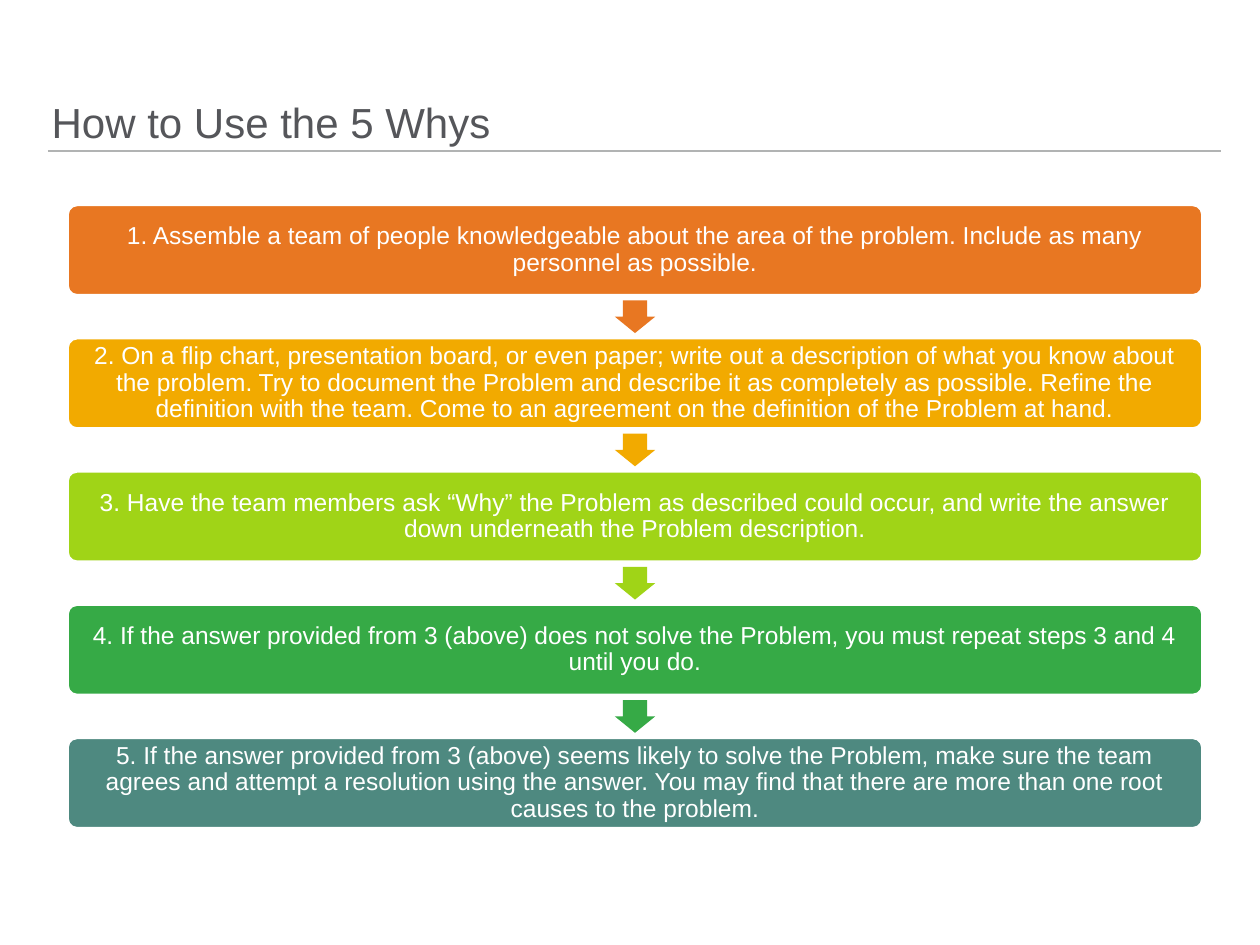
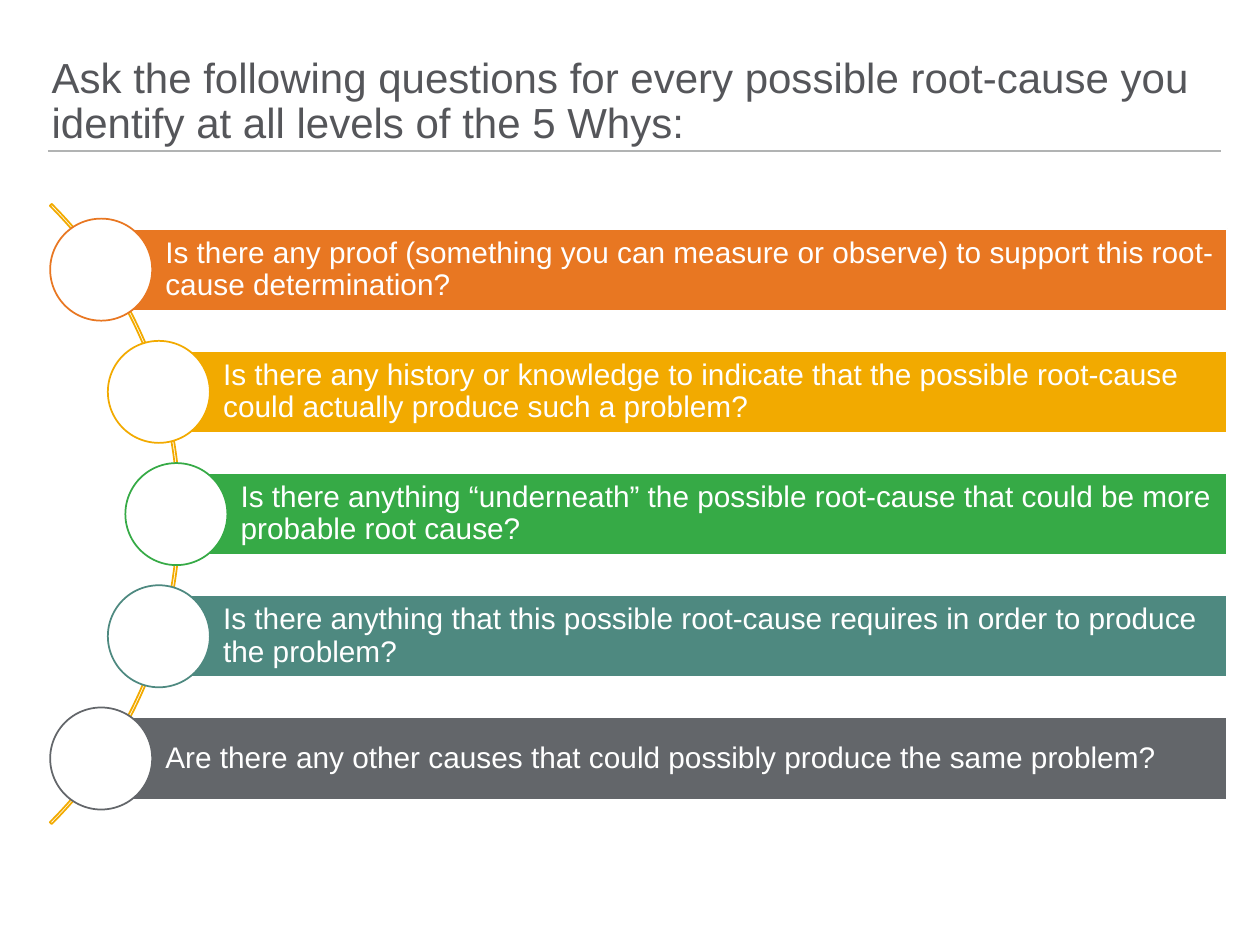
import math

import pptx
import pptx.dml.color
import pptx.enum.shapes
import pptx.enum.text
import pptx.util

RGBColor = pptx.dml.color.RGBColor
SHAPE = pptx.enum.shapes.MSO_SHAPE
ALIGN = pptx.enum.text.PP_ALIGN
ANCHOR = pptx.enum.text.MSO_ANCHOR

WHITE = RGBColor(0xFF, 0xFF, 0xFF)
TITLE_GREY = RGBColor(0x55, 0x56, 0x5A)
RULE_GREY = RGBColor(0xB1, 0xB3, 0xB3)
ORANGE = RGBColor(0xE8, 0x77, 0x22)
AMBER = RGBColor(0xF2, 0xAA, 0x00)
LIME = RGBColor(0xA0, 0xD4, 0x17)
GREEN = RGBColor(0x36, 0xAA, 0x46)
TEAL = RGBColor(0x4E, 0x89, 0x80)
SLATE = RGBColor(0x63, 0x66, 0x6A)

FONT = "Arial"
SLIDE_WIDTH, SLIDE_HEIGHT = 10, 7.5

STEP_LEFT, STEP_WIDTH, STEP_HEIGHT = 0.54, 9, 0.71
FIRST_STEP, LAST_STEP = 1.63, 5.86
ARROW_WIDTH, ARROW_HEIGHT = 0.32, 0.26

ARC_X, ARC_Y, ARC_RADIUS = -2.05, 4.08, 3.48
NODE_ORBIT, NODE_SIZE = 3.45, 0.81
BAR_RIGHT, BAR_HEIGHT, BAR_PITCH = 9.74, 0.65, 0.97

STEPS = [
    ("1. Assemble a team of people knowledgeable about the area of the problem. "
     "Include as many personnel as possible.", ORANGE),
    ("2. On a flip chart, presentation board, or even paper; write out a description "
     "of what you know about the problem. Try to document the Problem and describe it "
     "as completely as possible. Refine the definition with the team. Come to an "
     "agreement on the definition of the Problem at hand.", AMBER),
    ("3. Have the team members ask “Why” the Problem as described could occur, and "
     "write the answer down underneath the Problem description.", LIME),
    ("4. If the answer provided from 3 (above) does not solve the Problem, you must "
     "repeat steps 3 and 4 until you do.", GREEN),
    ("5. If the answer provided from 3 (above) seems likely to solve the Problem, make "
     "sure the team agrees and attempt a resolution using the answer. You may find that "
     "there are more than one root causes to the problem.", TEAL),
]

QUESTIONS = [
    ("Is there any proof (something you can measure or observe) to support this "
     "root-cause determination?", ORANGE),
    ("Is there any history or knowledge to indicate that the possible root-cause could "
     "actually produce such a problem?", AMBER),
    ("Is there anything “underneath” the possible root-cause that could be more "
     "probable root cause?", GREEN),
    ("Is there anything that this possible root-cause requires in order to produce "
     "the problem?", TEAL),
    ("Are there any other causes that could possibly produce the same problem?", SLATE),
]


def inches(*lengths):
    """Convert lengths in inches to slide units."""
    return [pptx.util.Inches(length) for length in lengths]


def write_text(shape, text, size, color, align, anchor, insets):
    """Write one wrapped paragraph; insets run left, top, right, bottom."""
    frame = shape.text_frame
    frame.text = text
    frame.word_wrap = True
    frame.vertical_anchor = anchor
    (frame.margin_left, frame.margin_top,
     frame.margin_right, frame.margin_bottom) = inches(*insets)
    para = frame.paragraphs[0]
    para.alignment = align
    para.line_spacing = 0.9
    font = para.runs[0].font
    font.name = FONT
    font.size = pptx.util.Pt(size)
    font.color.rgb = color


def add_figure(page, kind, bounds, fill=None, line=None, adjustments=()):
    """Add a flat preset shape with an optional fill and 1 pt outline."""
    shape = page.shapes.add_shape(kind, *inches(*bounds))
    shape.shadow.inherit = False
    for index, value in enumerate(adjustments):
        shape.adjustments[index] = value
    for part, color in ((shape.fill, fill), (shape.line.fill, line)):
        if color is None:
            part.background()
        else:
            part.solid()
            part.fore_color.rgb = color
    if line is not None:
        shape.line.width = pptx.util.Pt(1)
    return shape


def add_page(deck, title):
    """Add a blank page with the shared title and the rule below it."""
    page = deck.slides.add_slide(deck.slide_layouts[6])
    rule = page.shapes.add_connector(
        pptx.enum.shapes.MSO_CONNECTOR.STRAIGHT, *inches(0.38, 1.2, 9.69, 1.2))
    rule.line.color.rgb = RULE_GREY
    rule.line.width = pptx.util.Pt(1)
    properties = rule.line._get_or_add_ln().getparent()
    properties.append(pptx.oxml.parse_xml(
        '<a:effectLst xmlns:a="http://schemas.openxmlformats.org/drawingml/2006/main"/>'))
    box = page.shapes.add_textbox(*inches(0.41, 0, 9.28, 1.17))
    write_text(box, title, 24, TITLE_GREY, ALIGN.LEFT, ANCHOR.BOTTOM, (0, 0, 0, 0))
    return page


def add_step(page, top, text, color):
    """Add one rounded step of the flow."""
    step = add_figure(page, SHAPE.ROUNDED_RECTANGLE,
                      (STEP_LEFT, top, STEP_WIDTH, STEP_HEIGHT), color, WHITE, (0.1,))
    write_text(step, text, 14, WHITE, ALIGN.CENTER, ANCHOR.MIDDLE,
               (0.06, 0.06, 0.06, 0.06))


def add_step_arrow(page, middle, color):
    """Add the down arrow centred in the gap below a step."""
    left = STEP_LEFT + (STEP_WIDTH - ARROW_WIDTH) / 2
    add_figure(page, SHAPE.DOWN_ARROW,
               (left, middle - ARROW_HEIGHT / 2, ARROW_WIDTH, ARROW_HEIGHT),
               color, adjustments=(0.6, 0.5))


def add_steps(page):
    """Stack the steps at an equal pitch with arrows between them."""
    pitch = (LAST_STEP - FIRST_STEP) / (len(STEPS) - 1)
    for index, (text, color) in enumerate(STEPS):
        top = FIRST_STEP + index * pitch
        add_step(page, top, text, color)
        if index < len(STEPS) - 1:
            add_step_arrow(page, top + (STEP_HEIGHT + pitch) / 2, color)


def add_question(page, offset, text, color):
    """Add a bar and its circle on the arc, offset from the arc's middle."""
    x = ARC_X + math.sqrt(NODE_ORBIT ** 2 - offset ** 2)
    y = ARC_Y + offset
    bar = add_figure(page, SHAPE.RECTANGLE,
                     (x, y - BAR_HEIGHT / 2, BAR_RIGHT - x, BAR_HEIGHT), color, WHITE)
    write_text(bar, text, 17, WHITE, ALIGN.LEFT, ANCHOR.MIDDLE,
               (0.51, 0.05, 0.05, 0.05))
    add_figure(page, SHAPE.OVAL,
               (x - NODE_SIZE / 2, y - NODE_SIZE / 2, NODE_SIZE, NODE_SIZE),
               WHITE, color)


def add_questions(page):
    """Draw the arc and spread the questions evenly along it."""
    add_figure(page, SHAPE.BLOCK_ARC,
               (ARC_X - ARC_RADIUS, ARC_Y - ARC_RADIUS, 2 * ARC_RADIUS, 2 * ARC_RADIUS),
               line=AMBER, adjustments=(189, 27, 0.003))
    for index, (text, color) in enumerate(QUESTIONS):
        add_question(page, (index - (len(QUESTIONS) - 1) / 2) * BAR_PITCH, text, color)


def main():
    """Build and save the deck."""
    deck = pptx.Presentation()
    deck.slide_width, deck.slide_height = inches(SLIDE_WIDTH, SLIDE_HEIGHT)
    add_steps(add_page(deck, "How to Use the 5 Whys"))
    add_questions(add_page(deck, "Ask the following questions for every possible "
                                 "root-cause you identify at all levels of the 5 Whys:"))
    deck.save("out.pptx")


if __name__ == "__main__":
    main()
